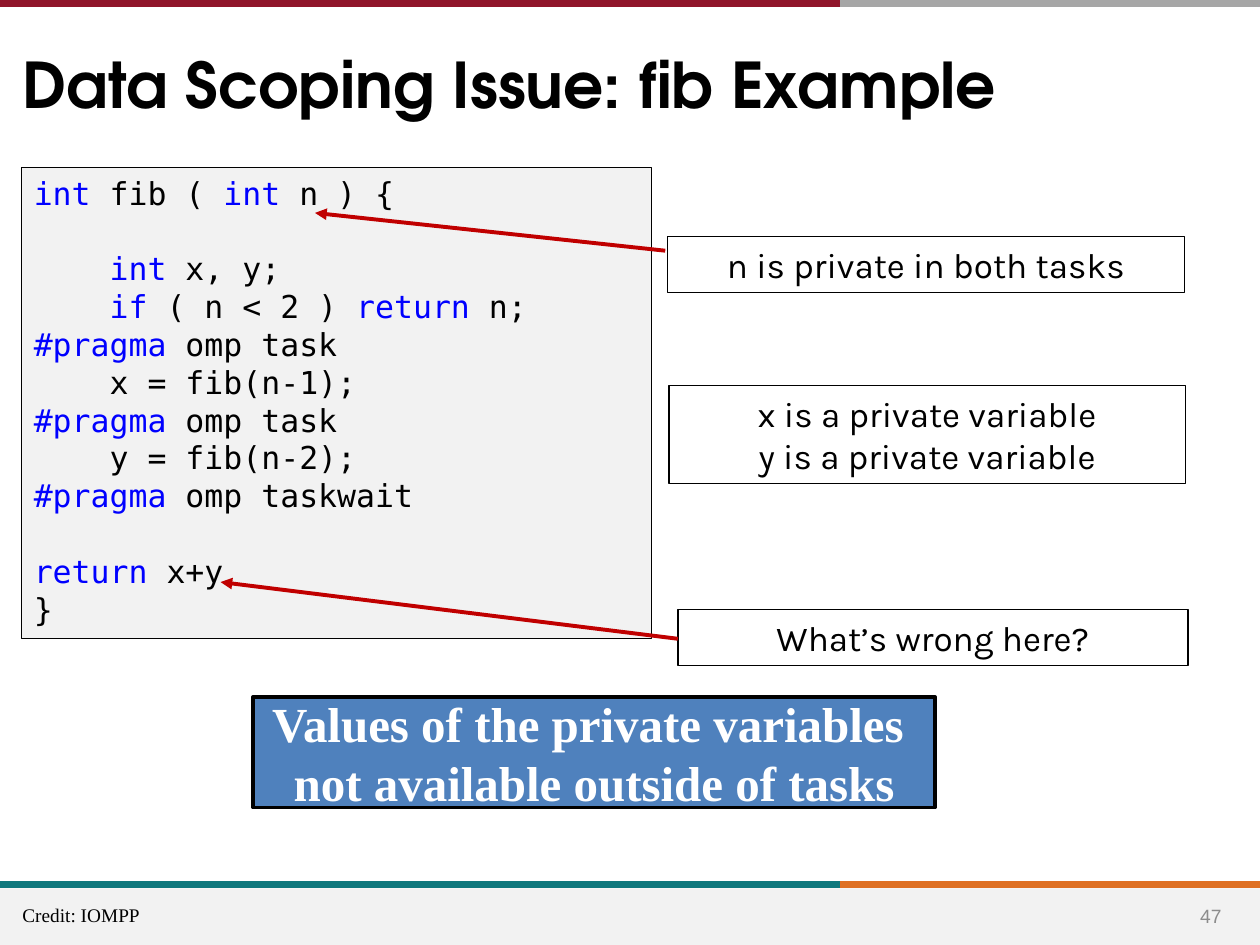
from dataclasses import dataclass
from lxml.etree import SubElement
from pptx import Presentation
from pptx.dml.color import RGBColor as RGB
from pptx.enum.shapes import MSO_CONNECTOR as Conn, MSO_SHAPE as Form
from pptx.enum.text import MSO_ANCHOR as Anchor, PP_ALIGN as Align
from pptx.oxml.ns import qn
from pptx.util import Inches, Pt


@dataclass(frozen=True)
class Theme:
    ink: str = "000000"
    paper: str = "FFFFFF"
    panel: str = "F2F2F2"
    key: str = "0000FF"
    arrow: str = "C00000"
    accent: str = "4F81BD"
    mute: str = "8C8C8C"
    red: str = "90152A"
    grey: str = "A6A6A6"
    teal: str = "0F787D"
    orange: str = "DF7023"
    # type: font, size, bold
    title: tuple = ("TeX Gyre Adventor", 36, True)
    code: tuple = ("DejaVu Sans Mono", 18, False)
    note: tuple = ("Karla", 20, False)
    banner: tuple = ("Times New Roman", 28, True)
    credit: tuple = ("Times New Roman", 11, False)
    number: tuple = ("Arial", 11, False)


T = Theme()

# Grid: 100 columns by 75 rows of square cells
COLS, ROWS = 100, 75
CELL = Inches(0.1)
SPLIT = 66.7

# Each line of code is a list of runs; keywords are marked with True
CODE = [
    [("int", True), (" fib ( ", False), ("int", True), (" n ) {", False)],
    [],
    [("    ", False), ("int", True), (" x, y;", False)],
    [("    ", False), ("if", True), (" ( n < 2 ) ", False),
     ("return", True), (" n;", False)],
    [("#pragma ", True), ("omp task", False)],
    [("    x = fib(n-1);", False)],
    [("#pragma ", True), ("omp task", False)],
    [("    y = fib(n-2);", False)],
    [("#pragma ", True), ("omp taskwait", False)],
    [],
    [("return ", True), ("x+y", False)],
    [("}", False)],
]

# Notes: place on the grid, lines of text
NOTES = [
    ((53, 18.8, 41, 4.4), ["n is private in both tasks"]),
    ((53.1, 30.6, 41, 7.8), ["x is a private variable",
                             "y is a private variable"]),
    ((53.8, 48.4, 40.5, 4.4), ["What’s wrong here?"]),
]

# Arrows: tip, tail
ARROWS = [((25, 16.9), (52.8, 19.9)), ((17.5, 46.2), (53.8, 50.7))]


def grid(*vals):
    return [round(v * CELL) for v in vals]


def rect(slide, place, fill=None, edge=None, width=0.75):
    box = slide.shapes.add_shape(Form.RECTANGLE, *grid(*place))
    box.shadow.inherit = False
    if fill:
        box.fill.solid()
        box.fill.fore_color.rgb = RGB.from_string(fill)
    else:
        box.fill.background()
    if edge:
        box.line.color.rgb = RGB.from_string(edge)
        box.line.width = Pt(width)
    else:
        box.line.fill.background()
    return box


def line(slide, start, end, color, width, head=False):
    link = slide.shapes.add_connector(Conn.STRAIGHT, *grid(*start, *end))
    link.line.color.rgb = RGB.from_string(color)
    link.line.width = Pt(width)
    props = link._element.spPr
    if head:
        SubElement(props.find(qn("a:ln")), qn("a:headEnd"), type="triangle")
    SubElement(props, qn("a:effectLst"))


def add_run(para, text, style, color):
    run = para.add_run()
    run.text = text
    font = run.font
    font.name, size, font.bold = style
    font.size = Pt(size)
    font.color.rgb = RGB.from_string(color)


def write(box, rows, style, color, align=Align.CENTER, anchor=Anchor.MIDDLE,
          wrap=True):
    frame = box.text_frame
    frame.word_wrap = wrap
    frame.vertical_anchor = anchor
    para = frame.paragraphs[0]
    para.alignment = align
    for i, row in enumerate(rows):
        if i:
            para.add_line_break()
        add_run(para, row, style, color)


def label(slide, place, text, style, color, **opts):
    box = slide.shapes.add_textbox(*grid(*place))
    write(box, [text], style, color, **opts)


def listing(slide, place):
    frame = rect(slide, place, T.panel, T.ink).text_frame
    frame.word_wrap = True
    frame.vertical_anchor = Anchor.TOP
    pitch = Pt(T.code[1] * 1.2)
    para, gap = frame.paragraphs[0], 0
    for i, row in enumerate(CODE):
        if not row:
            gap += pitch
            continue
        if i:
            para = frame.add_paragraph()
            para.space_before = gap
        para.alignment = Align.LEFT
        for text, key in row:
            add_run(para, text, T.code, T.key if key else T.ink)
        gap = 0


def bars(slide, row, left, right):
    line(slide, (SPLIT, row), (COLS, row), right, 4)
    line(slide, (0, row), (SPLIT, row), left, 4)


def main():
    deck = Presentation()
    deck.slide_width, deck.slide_height = grid(COLS, ROWS)
    slide = deck.slides.add_slide(deck.slide_layouts[6])

    # Frame of the page
    bars(slide, 70.2, T.teal, T.orange)
    rect(slide, (0, 70.5, COLS, 4.5), T.panel)
    bars(slide, 0.3, T.red, T.grey)

    # Code and title
    listing(slide, (1.7, 13.3, 50, 37.4))
    label(slide, (0.8, 3.1, 90.7, 8.4), "Data Scoping Issue: fib Example",
          T.title, T.ink, align=Align.LEFT, anchor=Anchor.TOP)

    # Notes and their arrows
    for place, rows in NOTES:
        write(rect(slide, place, edge=T.ink), rows, T.note, T.ink)
    for tip, tail in ARROWS:
        line(slide, tip, tail, T.arrow, 2.25, head=True)

    # Conclusion
    banner = rect(slide, (20.1, 55.3, 54.1, 8.8), T.accent, T.ink, 2)
    write(banner, ["Values of the private variables ",
                   "not available outside of tasks"],
          T.banner, T.paper, wrap=False)

    # Footer
    label(slide, (93.5, 70.7, 5.2, 4), "47", T.number, T.mute)
    label(slide, (0.8, 71.2, 11.4, 2.9), "Credit: IOMPP", T.credit, T.ink,
          align=Align.LEFT, anchor=Anchor.TOP, wrap=False)

    deck.save("out.pptx")


if __name__ == "__main__":
    main()
